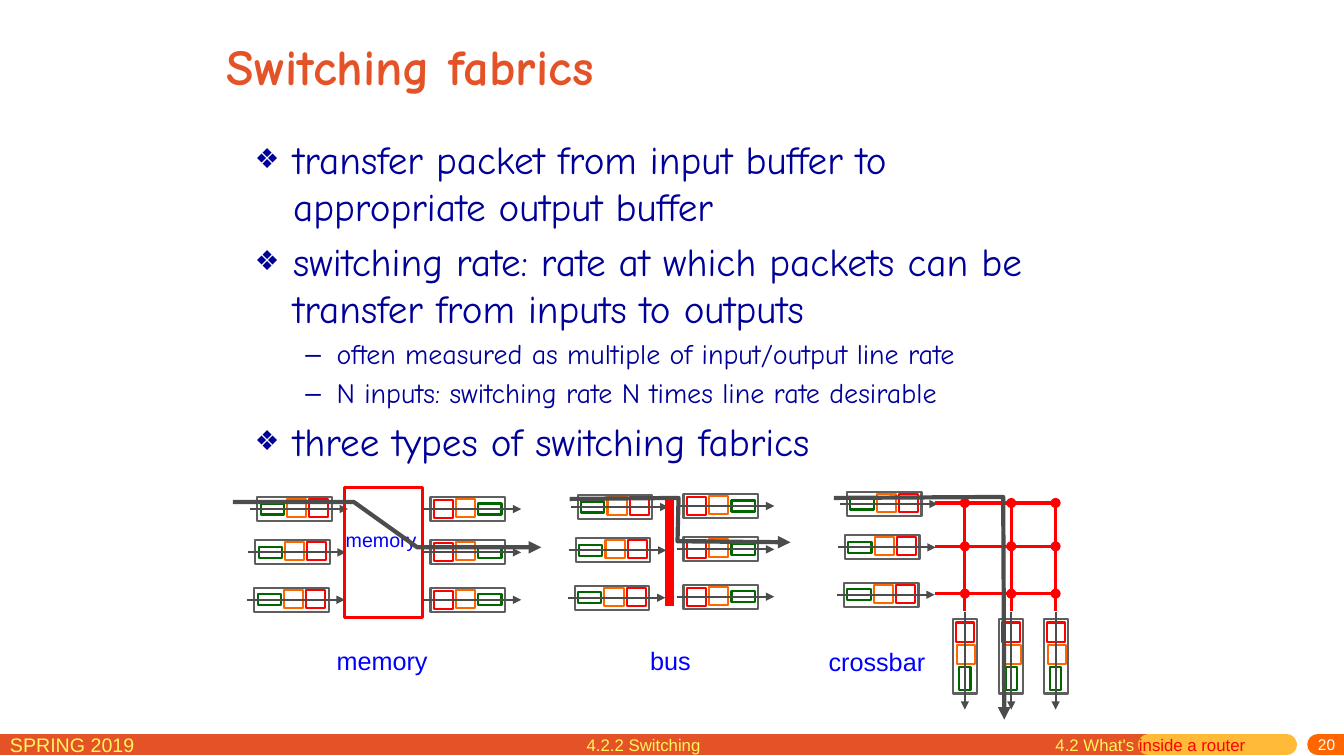
from dataclasses import dataclass
from itertools import product

from lxml.etree import SubElement
from pptx import Presentation
from pptx.dml.color import RGBColor
from pptx.enum.shapes import MSO_CONNECTOR, MSO_SHAPE
from pptx.enum.text import MSO_ANCHOR, MSO_AUTO_SIZE, PP_ALIGN
from pptx.oxml.ns import qn
from pptx.util import Inches, Pt


@dataclass(frozen=True)
class Theme:
    """Colours, fonts and type sizes of the deck."""
    heading: str = "E45327"
    body: str = "000099"
    label: str = "0000FF"
    footer: str = "FFF65C"
    amber: str = "FFBA37"
    orange: str = "FF6600"
    red: str = "FF0000"
    green: str = "006600"
    frame: str = "5F5F5F"
    arrow: str = "4C4C4C"
    white: str = "FFFFFF"
    text_font: str = "Comic Neue"
    plain_font: str = "Arial"
    title_size: int = 36
    bullet_sizes: tuple = (28, 20)
    label_size: int = 18
    small_size: int = 14
    footer_size: int = 12
    number_size: int = 11


THEME = Theme()
QUEUE_ROWS = (0, 0.43, 0.9)
INPUT_SHIFTS = (0, -0.02, -0.03)
INPUT_PACKETS = ((THEME.green, -0.22, 0, 0.23, 0.11),
                 (THEME.orange, 0.02, -0.01, 0.19, 0.18),
                 (THEME.red, 0.24, -0.01, 0.19, 0.18))
OUTPUT_PACKETS = ((THEME.green, 0.22, 0, 0.23, 0.11),
                  (THEME.orange, -0.02, -0.01, 0.19, 0.18),
                  (THEME.red, -0.24, 0, 0.19, 0.18))


def style_run(run, size, colour, font=THEME.plain_font, bold=False):
    """Give a run its font, size and colour."""
    run.font.name = font
    run.font.size = Pt(size)
    run.font.bold = bold
    run.font.color.rgb = RGBColor.from_string(colour)


def add_text(shapes, box, text, size, colour, font=THEME.plain_font, bold=False):
    """Add a one-paragraph text box and return its frame."""
    frame = shapes.add_textbox(*map(Inches, box)).text_frame
    frame.word_wrap = True
    frame.text = text
    style_run(frame.paragraphs[0].runs[0], size, colour, font, bold)
    return frame


def style_line(shape, colour, width, arrow=False, round_cap=False):
    """Colour an outline, optionally with an arrowhead or round ends."""
    shape.line.color.rgb = RGBColor.from_string(colour)
    shape.line.width = Pt(width)
    outline = shape.line._get_or_add_ln()
    if round_cap:
        outline.set("cap", "rnd")
    if arrow:
        SubElement(outline, qn("a:tailEnd"), type="triangle")


def add_line(shapes, start, end, colour, width, **options):
    """Add a straight line without a shadow."""
    line = shapes.add_connector(MSO_CONNECTOR.STRAIGHT, *map(Inches, (*start, *end)))
    style_line(line, colour, width, **options)
    SubElement(line._element.spPr, qn("a:effectLst"))


def add_block(shapes, box, fill=None, outline=None, width=1.5, kind=MSO_SHAPE.RECTANGLE):
    """Add a flat preset shape."""
    shape = shapes.add_shape(kind, *map(Inches, box))
    shape.shadow.inherit = False
    if fill:
        shape.fill.solid()
        shape.fill.fore_color.rgb = RGBColor.from_string(fill)
    else:
        shape.fill.background()
    if outline:
        style_line(shape, outline, width)
    else:
        shape.line.fill.background()
    return shape


def add_route(shapes, left, top, points):
    """Draw the thick arrow that a packet follows through a fabric."""
    corners = [(Inches(left + x), Inches(top + y)) for x, y in points]
    builder = shapes.build_freeform(*corners[0])
    builder.add_line_segments(corners[1:], close=False)
    route = builder.convert_to_shape()
    route.shadow.inherit = False
    route.fill.background()
    style_line(route, THEME.arrow, 3, arrow=True)


def add_queue(shapes, centre_x, centre_y, packets, vertical=False):
    """Draw a buffer of three packets around its centre."""
    group = shapes.add_group_shape().shapes

    def place(x, y):
        """Turn an offset from the centre into a position."""
        return (centre_x - y, centre_y + x) if vertical else (centre_x + x, centre_y + y)

    for colour, x, y, width, height in ((THEME.frame, 0, 0, 0.74, 0.24), *packets):
        middle_x, middle_y = place(x, y)
        box = (middle_x - width / 2, middle_y - height / 2, width, height)
        block = add_block(group, box, THEME.white, colour)
        block.rotation = 90 if vertical else 0
    add_line(group, place(-0.44, 0), place(0.53, 0), THEME.arrow, 1.5, arrow=True)


def add_inputs(shapes, left, top):
    """Stack the three input buffers."""
    for shift, row in zip(INPUT_SHIFTS, QUEUE_ROWS):
        add_queue(shapes, left + shift + 0.37, top + row + 0.12, INPUT_PACKETS)


def add_outputs(shapes, left, top):
    """Stack the three output buffers."""
    for row in QUEUE_ROWS:
        add_queue(shapes, left + 0.37, top + row + 0.12, OUTPUT_PACKETS)


def add_label(shapes, box, text, size=THEME.label_size):
    """Name a fabric or a part of it on a single line."""
    frame = add_text(shapes, box, text, size, THEME.label)
    frame.word_wrap = False
    frame.auto_size = MSO_AUTO_SIZE.SHAPE_TO_FIT_TEXT


def add_memory_fabric(shapes, left, top):
    """Draw switching through memory."""
    add_inputs(shapes, left + 0.24, top + 0.09)
    add_block(shapes, (left + 1.11, top, 0.77, 1.29), outline=THEME.red, width=2.25)
    add_outputs(shapes, left + 1.96, top + 0.09)
    add_label(shapes, (left + 0.93, top + 1.51, 1.1, 0.4), "memory")
    add_label(shapes, (left + 1.02, top + 0.35, 0.92, 0.33), "memory", THEME.small_size)
    add_route(shapes, left, top, ((0, 0.14), (1.2, 0.14), (1.83, 0.59), (3.06, 0.59)))


def add_bus_fabric(shapes, left, top):
    """Draw switching over a bus."""
    add_inputs(shapes, left + 0.08, top + 0.01)
    add_line(shapes, (left + 0.99, top + 0.02), (left + 0.99, top + 1.11), THEME.red, 6)
    add_outputs(shapes, left + 1.13, top)
    add_label(shapes, (left + 0.7, top + 1.45, 0.6, 0.4), "bus")
    add_route(shapes, left, top, ((0, 0.05), (1.08, 0.04), (1.07, 0.47), (2.19, 0.48)))


def add_crossbar_fabric(shapes, left, top):
    """Draw switching through a crossbar."""
    add_inputs(shapes, left + 0.13, top)
    columns = [left + offset for offset in (1.3, 1.76, 2.2)]
    rows = [top + 0.11 + offset for offset in QUEUE_ROWS]
    for column in reversed(columns):
        add_queue(shapes, column, top + 1.63, OUTPUT_PACKETS, vertical=True)
    for row in rows:
        add_line(shapes, (left + 1, row), (columns[-1], row), THEME.red, 2.25)
    for column in columns:
        add_line(shapes, (column, top + 1.18), (column, rows[0]), THEME.red, 2.25)
    for column, row in product(columns, rows):
        box = (column - 0.05, row - 0.05, 0.1, 0.1)
        add_block(shapes, box, THEME.red, kind=MSO_SHAPE.OVAL)
    add_label(shapes, (left - 0.15, top + 1.48, 1.16, 0.4), "crossbar")
    add_route(shapes, left, top, ((0, 0.06), (1.68, 0.05), (1.69, 2.26)))


def add_bullets(shapes, box, items):
    """Write the two-level bullet list."""
    frame = shapes.add_textbox(*map(Inches, box)).text_frame
    frame.word_wrap = True
    for index, (level, text) in enumerate(items):
        paragraph = frame.add_paragraph() if index else frame.paragraphs[0]
        paragraph.text = text
        paragraph.level = level
        size = THEME.bullet_sizes[level]
        paragraph.space_before = Pt(size * 0.2 if index else 0)
        margin, hanging, mark, scale = ((0.38, 0.38, "❖", 70), (0.81, 0.31, "–", 100))[level]
        properties = paragraph._p.get_or_add_pPr()
        properties.set("marL", str(Inches(margin)))
        properties.set("indent", str(-Inches(hanging)))
        SubElement(properties, qn("a:buSzPct"), val=str(scale * 1000))
        SubElement(properties, qn("a:buFont"), typeface=THEME.plain_font)
        SubElement(properties, qn("a:buChar"), char=mark)
        style_run(paragraph.runs[0], size, THEME.body, THEME.text_font)


def add_footer(shapes, top):
    """Draw the footer band with term, section, chapter and page number."""
    bands = ((0, 11.39, THEME.heading), (11.39, 12.76, THEME.amber), (13.07, 13.33, THEME.orange))
    for start, end, colour in bands:
        add_line(shapes, (start, top + 0.17), (end, top + 0.17), colour, 15, round_cap=True)
    add_text(shapes, (0, top, 2.29, 0.31), "SPRING 2019", THEME.small_size, THEME.footer)
    number = add_text(shapes, (10.75, top + 0.1, 2.59, 0.18), "20", THEME.number_size, THEME.white)
    number.margin_top = 0
    number.vertical_anchor = MSO_ANCHOR.MIDDLE
    number.paragraphs[0].alignment = PP_ALIGN.RIGHT
    size = THEME.footer_size
    chapter = add_text(shapes, (10.37, top + 0.02, 2.2, 0.31), "4.2 What's ", size, THEME.footer)
    run = chapter.paragraphs[0].add_run()
    run.text = "inside a router"
    style_run(run, size, THEME.red)
    add_text(shapes, (5.72, top + 0.02, 2.28, 0.31), "4.2.2 Switching", size, THEME.footer)


def main():
    """Build and save the slide."""
    presentation = Presentation()
    presentation.slide_width, presentation.slide_height = Inches(13.33), Inches(7.5)
    shapes = presentation.slides.add_slide(presentation.slide_layouts[6]).shapes
    add_footer(shapes, 7.22)
    title = add_text(shapes, (2.15, 0.27, 8.5, 0.75), "Switching fabrics", THEME.title_size,
                     THEME.heading, THEME.text_font, bold=True)
    title.vertical_anchor = MSO_ANCHOR.MIDDLE
    add_bullets(shapes, (2.43, 1.29, 8.5, 5.08), (
        (0, "transfer packet from input buffer to appropriate output buffer"),
        (0, "switching rate: rate at which packets can be transfer from inputs to outputs"),
        (1, "often measured as multiple of input/output line rate"),
        (1, "N inputs: switching rate N times line rate desirable"),
        (0, "three types of switching fabrics")))
    add_memory_fabric(shapes, 2.31, 4.84)
    add_bus_fabric(shapes, 5.65, 4.9)
    add_crossbar_fabric(shapes, 8.27, 4.88)
    presentation.save("out.pptx")


if __name__ == "__main__":
    main()
